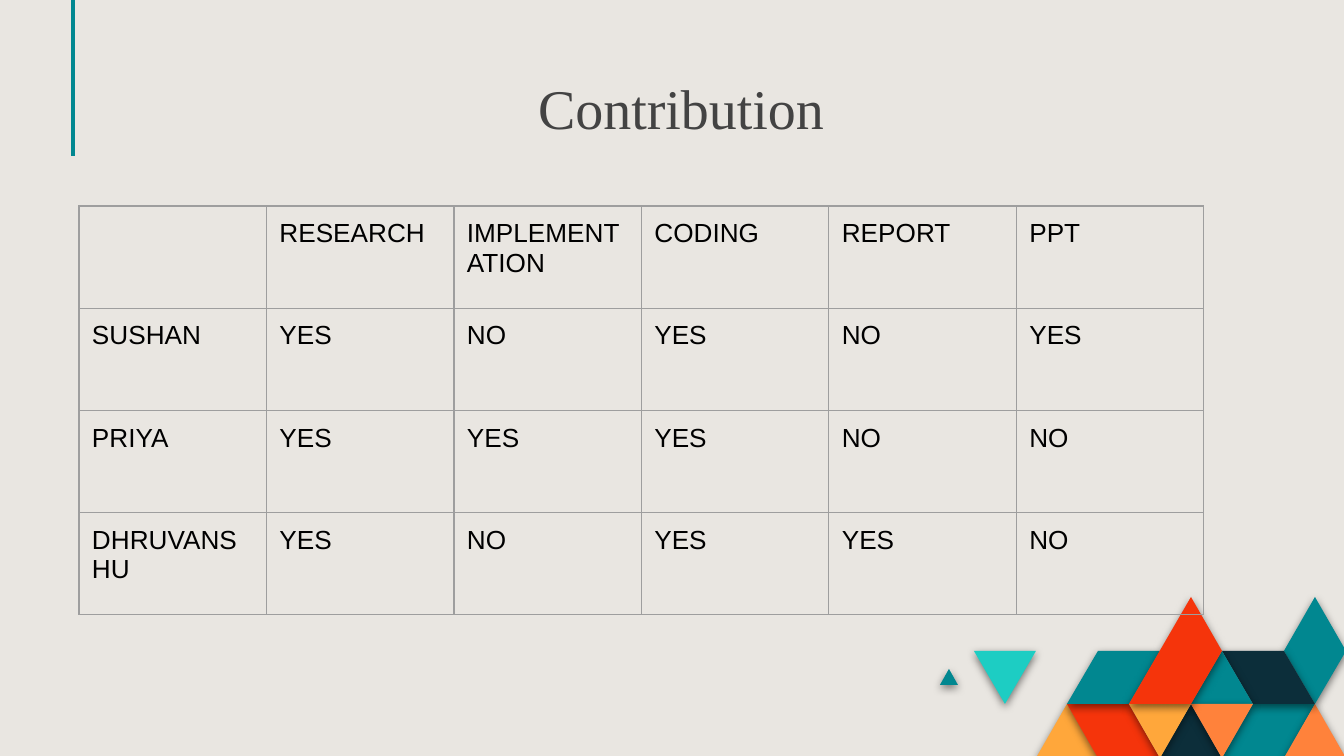
import lxml.etree
import pptx
import pptx.dml.color
import pptx.enum.shapes
import pptx.enum.text
import pptx.oxml
import pptx.oxml.ns
import pptx.util

SCALE = 914400 / 134.4
COLORS = {
    "paper": "E9E6E1", "teal": "018790", "navy": "0C2E3A", "red": "F5340B",
    "amber": "FFA73B", "orange": "FF823B", "aqua": "1DCDC3",
    "title": "434343", "ink": "000000", "rule": "9E9E9E",
}
TILES = [
    ("amber", [(2, 3), (3, 2), (4, 3)]),
    ("red", [(3, 2), (5, 2), (6, 3), (4, 3)]),
    ("teal", [(8, 3), (9, 2), (11, 2), (10, 3)]),
    ("orange", [(10, 3), (11, 2), (12, 3)]),
    ("navy", [(6, 3), (7, 2), (8, 3)]),
    ("teal", [(3, 2), (4, 1), (6, 1), (5, 2)]),
    ("aqua", [(0, 1), (2, 1), (1, 2)]),
    ("teal", [(10, 1), (11, 0), (12, 1), (11, 2)]),
    ("navy", [(8, 1), (10, 1), (11, 2), (9, 2)]),
    ("teal", [(7, 2), (8, 1), (9, 2)]),
    ("orange", [(7, 2), (9, 2), (8, 3)]),
    ("amber", [(5, 2), (7, 2), (6, 3)]),
    ("red", [(5, 2), (7, 0), (8, 1), (7, 2)]),
]
ROWS = [
    ["", "RESEARCH", "IMPLEMENTATION", "CODING", "REPORT", "PPT"],
    ["SUSHAN", "YES", "NO", "YES", "NO", "YES"],
    ["PRIYA", "YES", "YES", "YES", "NO", "NO"],
    ["DHRUVANSHU", "YES", "NO", "YES", "YES", "NO"],
]


def px(length):
    """Turn pixels into EMU."""
    return pptx.util.Emu(round(length * SCALE))


def rgb(name):
    """Return the named colour."""
    return pptx.dml.color.RGBColor.from_string(COLORS[name])


def write(frame, text, *, font, size, color, left=13, anchor="TOP"):
    """Fill a text frame or cell frame with one formatted line."""
    frame.word_wrap = True
    frame.margin_left = px(left)
    frame.margin_top = frame.margin_right = frame.margin_bottom = px(13)
    frame.vertical_anchor = getattr(pptx.enum.text.MSO_ANCHOR, anchor)
    para = frame.paragraphs[0]
    para.alignment = pptx.enum.text.PP_ALIGN.LEFT
    span = para.add_run()
    span.text = text
    span.font.name = font
    span.font.size = pptx.util.Pt(size)
    span.font.color.rgb = rgb(color)


def add_accent(page, x, top, bottom):
    """Draw the vertical accent line."""
    line = page.shapes.add_connector(
        pptx.enum.shapes.MSO_CONNECTOR.STRAIGHT, px(x), px(top), px(x), px(bottom))
    line.line.color.rgb = rgb("teal")
    line.line.width = pptx.util.Pt(2.25)
    lxml.etree.SubElement(line._element.spPr, pptx.oxml.ns.qn("a:effectLst"))


def add_tile(page, color, points):
    """Draw one filled polygon with a soft shadow."""
    builder = page.shapes.build_freeform(*points[0], scale=SCALE)
    builder.add_line_segments(points[1:], close=True)
    tile = builder.convert_to_shape()
    tile.fill.solid()
    tile.fill.fore_color.rgb = rgb(color)
    tile.line.fill.background()
    tile.shadow.inherit = False
    effects = tile._element.spPr.find(pptx.oxml.ns.qn("a:effectLst"))
    effects.append(pptx.oxml.parse_xml(
        f'<a:outerShdw {pptx.oxml.ns.nsdecls("a")} blurRad="57150" dist="19050" '
        f'dir="5400000" algn="bl" rotWithShape="0"><a:srgbClr val="{COLORS["ink"]}">'
        '<a:alpha val="49000"/></a:srgbClr></a:outerShdw>'))


def add_mosaic(page, left, top, width, height):
    """Place the corner mosaic on a grid of 12 by 3 steps."""
    for color, nodes in TILES:
        add_tile(page, color, [(left + col * width / 12, top + row * height / 3)
                               for col, row in nodes])
    add_tile(page, "teal", [(left - 34, top + 88), (left - 25, top + 72),
                            (left - 16, top + 88)])


def add_title(page, left, top, width, height):
    """Place the slide title."""
    box = page.shapes.add_textbox(px(left), px(top), px(width), px(height))
    write(box.text_frame, "Contribution", font="Times New Roman", size=30,
          color="title", left=425, anchor="BOTTOM")


def rule_cell(cell):
    """Give a cell four thin borders and no fill."""
    cell.fill.background()
    properties = cell._tc.get_or_add_tcPr()
    for index, side in enumerate("LRTB"):
        properties.insert(index, pptx.oxml.parse_xml(
            f'<a:ln{side} {pptx.oxml.ns.nsdecls("a")} w="9525"><a:solidFill>'
            f'<a:srgbClr val="{COLORS["rule"]}"/></a:solidFill></a:ln{side}>'))


def add_contributions(page, left, top, width, height):
    """Place the contribution table."""
    table = page.shapes.add_table(len(ROWS), len(ROWS[0]), px(left), px(top),
                                  px(width), px(height)).table
    table.first_row = table.horz_banding = False
    for column in table.columns:
        column.width = px(width / len(ROWS[0]))
    for row, words in zip(table.rows, ROWS):
        row.height = px(height / len(ROWS))
        for cell, word in zip(row.cells, words):
            rule_cell(cell)
            cell.margin_left = cell.margin_right = px(13)
            cell.margin_top = cell.margin_bottom = px(13)
            if word:
                para = cell.text_frame.paragraphs[0]
                span = para.add_run()
                span.text = word
                span.font.name = "Arial"
                span.font.size = pptx.util.Pt(14)
                span.font.color.rgb = rgb("ink")


def build():
    """Build and save the deck."""
    deck = pptx.Presentation()
    deck.slide_width, deck.slide_height = px(1344), px(756)
    page = deck.slides.add_slide(deck.slide_layouts[6])
    page.background.fill.solid()
    page.background.fill.fore_color.rgb = rgb("paper")
    add_accent(page, 73, 0, 156)
    add_mosaic(page, 974, 597, 372, 161)
    add_title(page, 113, 69, 1189, 85)
    add_contributions(page, 79, 206, 1125, 409)
    deck.save("out.pptx")


build()
